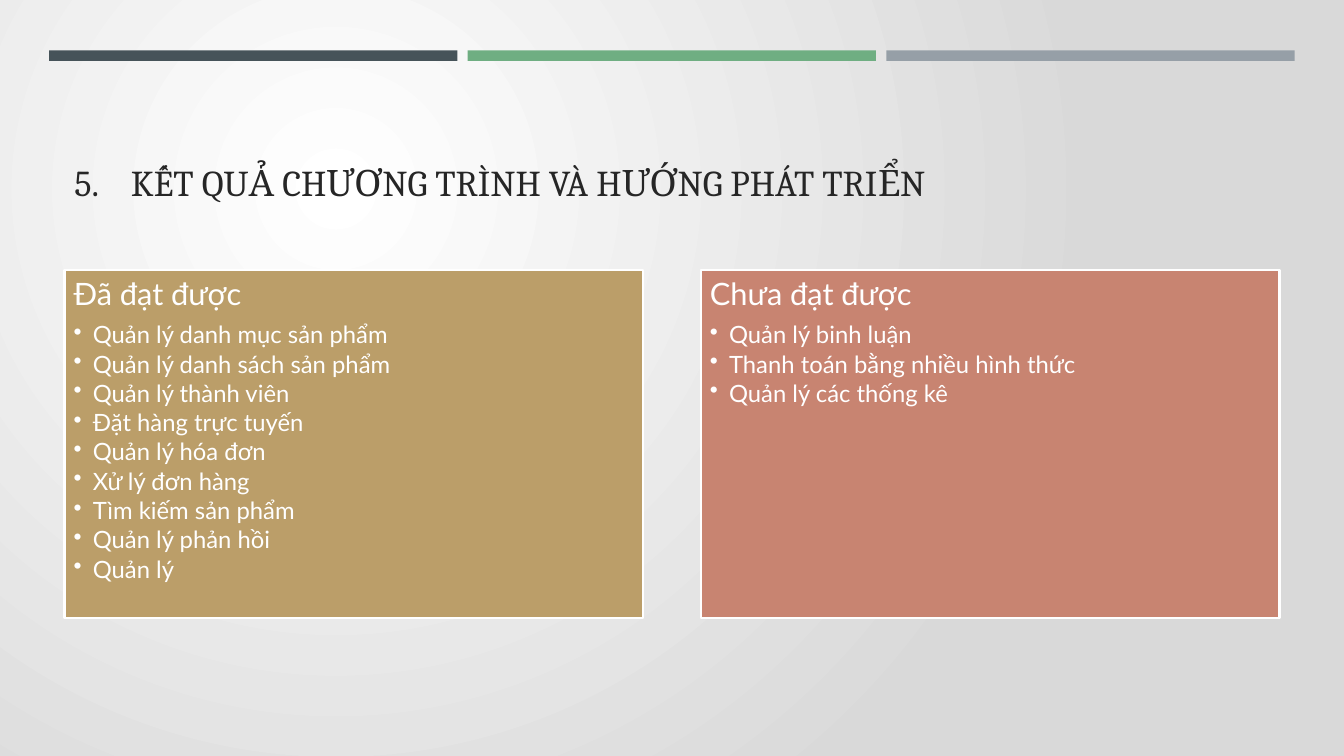
from dataclasses import dataclass

from lxml import etree
from pptx import Presentation
from pptx.dml.color import RGBColor
from pptx.enum.shapes import MSO_SHAPE
from pptx.enum.text import MSO_ANCHOR, PP_ALIGN
from pptx.oxml.ns import qn
from pptx.util import Inches, Pt

RECTANGLE = MSO_SHAPE.RECTANGLE
TOP, BOTTOM = MSO_ANCHOR.TOP, MSO_ANCHOR.BOTTOM
LEFT = PP_ALIGN.LEFT

SLIDE_WIDTH, SLIDE_HEIGHT = Inches(13.33), Inches(7.5)
WHITE, SILVER, INK = "FFFFFF", "D9D9D9", "262626"
TITLE_FONT, BODY_FONT = "Cambria", "Lato"


@dataclass(frozen=True)
class Area:
    """Position and size in percent of the slide."""

    left: float
    top: float
    width: float
    height: float

    def shifted(self, columns: int, pitch: float) -> "Area":
        return Area(self.left + columns * pitch, self.top, self.width, self.height)

    def lengths(self) -> tuple:
        return (
            int(SLIDE_WIDTH * self.left / 100),
            int(SLIDE_HEIGHT * self.top / 100),
            int(SLIDE_WIDTH * self.width / 100),
            int(SLIDE_HEIGHT * self.height / 100),
        )


@dataclass(frozen=True)
class Card:
    heading: str
    items: tuple[str, ...]
    fill: str


BAR_AREA, BAR_PITCH = Area(3.65, 6.67, 30.38, 1.4), 31.15
TITLE_AREA = Area(4.8, 10.27, 90.47, 17.33)
CARD_AREA, CARD_PITCH = Area(4.8, 35.73, 43.06, 46), 47.34

BAR_FILLS = ("465359", "6FAE82", "969FA7")
CARDS = (
    Card(
        "Đã đạt được",
        (
            "Quản lý danh mục sản phẩm",
            "Quản lý danh sách sản phẩm",
            "Quản lý thành viên",
            "Đặt hàng trực tuyến",
            "Quản lý hóa đơn",
            "Xử lý đơn hàng",
            "Tìm kiếm sản phẩm",
            "Quản lý phản hồi",
            "Quản lý",
        ),
        "BB9E69",
    ),
    Card(
        "Chưa đạt được",
        (
            "Quản lý binh luận",
            "Thanh toán bằng nhiều hình thức",
            "Quản lý các thống kê",
        ),
        "C88471",
    ),
)


def colour(value: str) -> RGBColor:
    return RGBColor.from_string(value)


def paint_background(page) -> None:
    fill = page.background.fill
    fill.gradient()
    for stop, value in zip(fill.gradient_stops, (WHITE, SILVER)):
        stop.color.rgb = colour(value)
    gradient = page.element.find(".//" + qn("a:gradFill"))
    gradient.remove(gradient.find(qn("a:lin")))
    circle = etree.SubElement(gradient, qn("a:path"), path="circle")
    etree.SubElement(
        circle, qn("a:fillToRect"), l="50000", t="50000", r="100000", b="100000"
    )


def add_rectangle(page, area: Area, fill: str, line: str | None = None):
    box = page.shapes.add_shape(RECTANGLE, *area.lengths())
    box.shadow.inherit = False
    box.fill.solid()
    box.fill.fore_color.rgb = colour(fill)
    if line:
        box.line.color.rgb = colour(line)
        box.line.width = Pt(1.75)
    else:
        box.line.fill.background()
    return box


def write(para, text: str, *, size: float, font: str, color: str,
          spacing: float = 1, after: float = 0) -> None:
    para.alignment = LEFT
    para.line_spacing = spacing
    para.space_after = Pt(size * after)
    span = para.add_run()
    span.text = text
    span.font.size = Pt(size)
    span.font.name = font
    span.font.color.rgb = colour(color)


def set_marker(para, tag: str, indent: float, **attributes: str) -> None:
    properties = para._p.get_or_add_pPr()
    properties.set("marL", str(Inches(indent)))
    properties.set("indent", str(-Inches(indent)))
    etree.SubElement(properties, qn(tag), **attributes)


def add_title(page, text: str) -> None:
    box = page.shapes.add_textbox(*TITLE_AREA.lengths())
    frame = box.text_frame
    frame.word_wrap = True
    frame.vertical_anchor = BOTTOM
    para = frame.paragraphs[0]
    write(para, text, size=26, font=TITLE_FONT, color=INK)
    set_marker(para, "a:buAutoNum", 0.56, type="arabicPeriod", startAt="5")


def add_card(page, card: Card, area: Area) -> None:
    frame = add_rectangle(page, area, card.fill, WHITE).text_frame
    frame.word_wrap = True
    frame.vertical_anchor = TOP
    frame.margin_left = frame.margin_right = Inches(0.09)
    frame.margin_top = frame.margin_bottom = Inches(0.09)
    style = {"font": BODY_FONT, "color": WHITE, "spacing": 0.9}
    write(frame.paragraphs[0], card.heading, size=22, after=0.35, **style)
    for item in card.items:
        para = frame.add_paragraph()
        para.level = 1
        write(para, item, size=17, after=0.15, **style)
        set_marker(para, "a:buChar", 0.19, char="•")


def main() -> None:
    deck = Presentation()
    deck.slide_width, deck.slide_height = SLIDE_WIDTH, SLIDE_HEIGHT
    page = deck.slides.add_slide(deck.slide_layouts[6])
    paint_background(page)
    for column, fill in enumerate(BAR_FILLS):
        add_rectangle(page, BAR_AREA.shifted(column, BAR_PITCH), fill)
    add_title(page, "KẾT QUẢ CHƯƠNG TRÌNH VÀ HƯỚNG PHÁT TRIỂN")
    for column, card in enumerate(CARDS):
        add_card(page, card, CARD_AREA.shifted(column, CARD_PITCH))
    deck.save("out.pptx")


if __name__ == "__main__":
    main()
